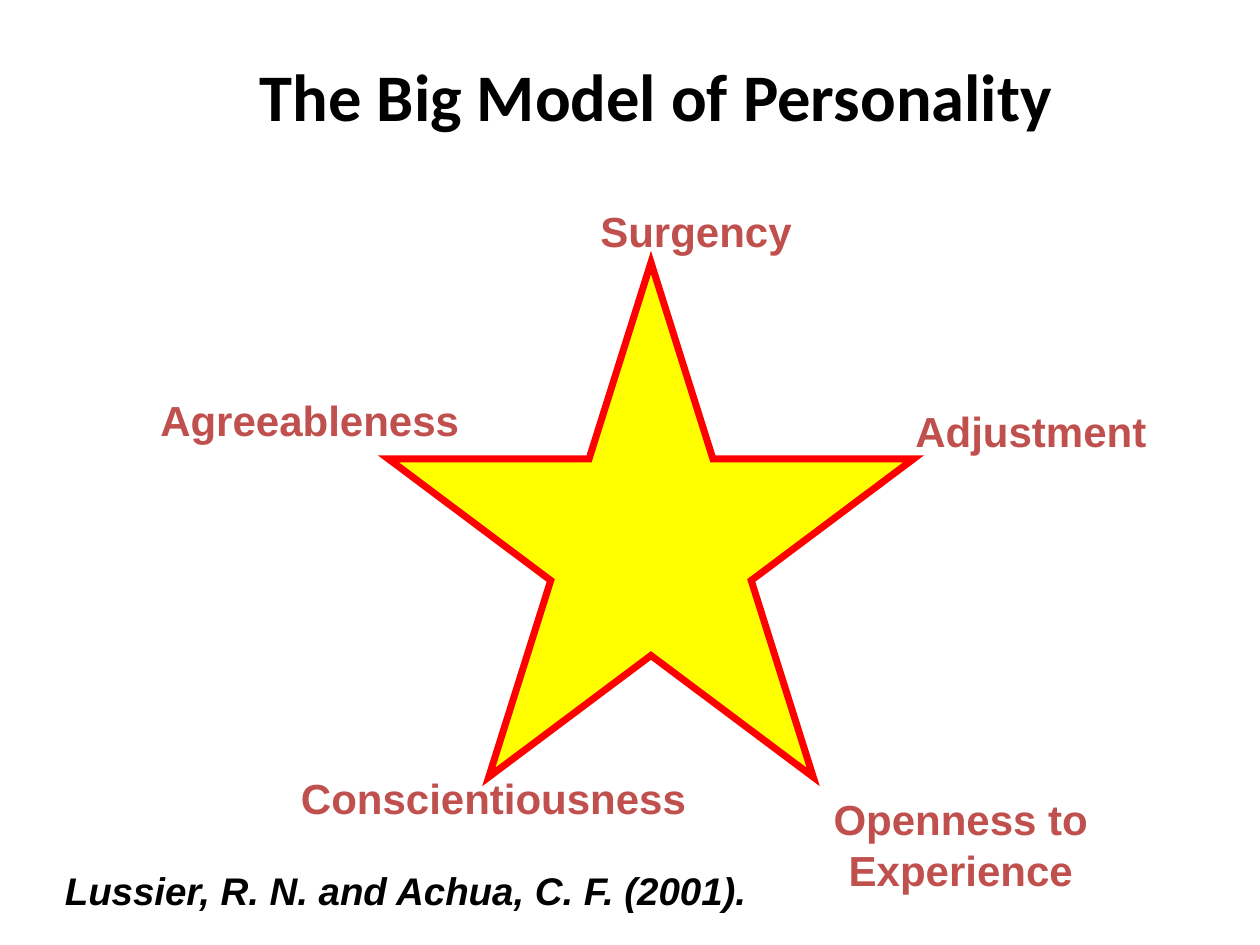
from dataclasses import dataclass

from lxml import etree
from pptx import Presentation
from pptx.dml.color import RGBColor
from pptx.enum import shapes, text
from pptx.oxml import ns
from pptx.util import Pt

LEFT, CENTER = text.PP_ALIGN.LEFT, text.PP_ALIGN.CENTER


@dataclass(frozen=True)
class Theme:
    black: RGBColor = RGBColor(0, 0, 0)
    white: RGBColor = RGBColor(255, 255, 255)
    trait: RGBColor = RGBColor(0xC0, 0x50, 0x4D)
    star: RGBColor = RGBColor(255, 255, 0)
    outline: RGBColor = RGBColor(255, 0, 0)
    title_font: str = "Calibri"
    body_font: str = "Arial"
    title_size: int = 38
    trait_size: int = 24
    source_size: int = 22


THEME = Theme()

TRAITS = [
    ("Surgency", (336, 114, 132, 36), LEFT, False),
    ("Adjustment", (516, 228, 150, 36), LEFT, False),
    ("Openness to Experience", (468, 450, 162, 65), CENTER, True),
    ("Conscientiousness", (162, 438, 240, 36), CENTER, False),
    ("Agreeableness", (84, 222, 186, 36), CENTER, False),
]


def add_label(s, words, box, font, size, color, align, italic=False,
              filled=False, anchor=text.MSO_ANCHOR.TOP):
    sp = s.shapes.add_textbox(*map(Pt, box))
    if filled:
        sp.fill.solid()
        sp.fill.fore_color.rgb = THEME.white
    tf = sp.text_frame
    tf.word_wrap = True
    tf.vertical_anchor = anchor
    p = tf.paragraphs[0]
    p.alignment = align
    r = p.add_run()
    r.text = words
    r.font.name = font
    r.font.size = Pt(size)
    r.font.bold = True
    r.font.italic = italic
    r.font.color.rgb = color


def add_star(s, box):
    sp = s.shapes.add_shape(shapes.MSO_SHAPE.STAR_5_POINT, *map(Pt, box))
    sp.shadow.inherit = False
    sp.fill.solid()
    sp.fill.fore_color.rgb = THEME.star
    sp.line.color.rgb = THEME.outline
    sp.line.width = Pt(4)
    ln = sp.line._get_or_add_ln()
    etree.SubElement(ln, ns.qn("a:miter"), lim="800000")


def main():
    prs = Presentation()
    prs.slide_width, prs.slide_height = Pt(720), Pt(540)
    s = prs.slides.add_slide(prs.slide_layouts[6])
    add_label(s, "The Big Model of Personality", (90, 24, 570, 60),
              THEME.title_font, THEME.title_size, THEME.black, CENTER,
              anchor=text.MSO_ANCHOR.MIDDLE)
    add_star(s, (222, 150, 300, 294))
    for words, box, align, filled in TRAITS:
        add_label(s, words, box, THEME.body_font, THEME.trait_size,
                  THEME.trait, align, filled=filled)
    add_label(s, "Lussier, R. N. and Achua, C. F. (2001).", (30, 492, 432, 34),
              THEME.body_font, THEME.source_size, THEME.black, LEFT,
              italic=True, filled=True)
    prs.save("out.pptx")


if __name__ == "__main__":
    main()
